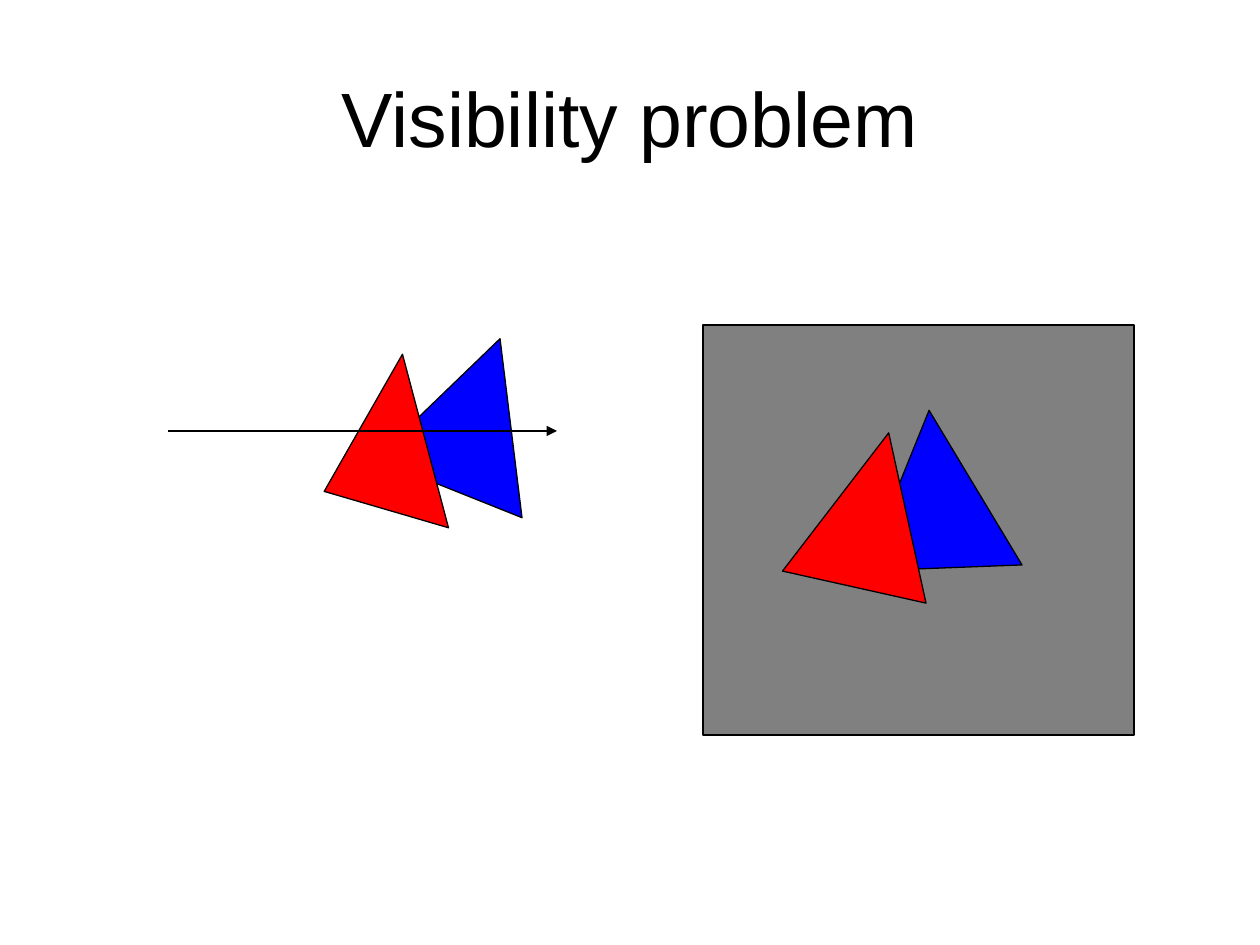
"""Builds a slide showing overlapping triangles along a view ray and in the image plane."""
from dataclasses import dataclass

from lxml import etree
from pptx import Presentation
from pptx.dml.color import RGBColor
from pptx.enum.shapes import MSO_CONNECTOR, MSO_SHAPE
from pptx.enum.text import MSO_ANCHOR, PP_ALIGN
from pptx.oxml.ns import qn
from pptx.util import Emu, Pt

RECT, TRIANGLE = MSO_SHAPE.RECTANGLE, MSO_SHAPE.ISOSCELES_TRIANGLE
STRAIGHT = MSO_CONNECTOR.STRAIGHT
CENTER, MIDDLE = PP_ALIGN.CENTER, MSO_ANCHOR.MIDDLE


@dataclass(frozen=True)
class Theme:
    font: str = "Arial"
    ink: str = "000000"
    near: str = "FF0000"
    far: str = "0000FF"
    plane: str = "808080"
    title_pt: int = 44
    line_pt: float = 0.75


T = Theme()
SLIDE = (1260, 945)
TITLE = ("Visibility problem", (63, 38, 1134, 158))
SCENE = [
    ((399, 336, 158, 158), T.far, 21.8, 0.45),
    ((339, 391, 158, 126), T.near, 119.7, 0.81),
]
VIEW_RAY = (168, 431, 557, 431)
IMAGE_PLANE = (703, 325, 431, 410)
PROJECTION = [
    ((861, 410, 158, 158), T.far, 357.8, 0.45),
    ((798, 431, 147, 158), T.near, 12.6, 0.5),
]


def px(*values):
    return [Emu(round(v * 914400 / 126)) for v in values]


def rgb(color):
    return RGBColor.from_string(color)


def add_text(s, text, box, *, size, color, align, anchor):
    tf = s.shapes.add_textbox(*px(*box)).text_frame
    tf.word_wrap = True
    tf.vertical_anchor = anchor
    p = tf.paragraphs[0]
    p.alignment = align
    r = p.add_run()
    r.text = text
    r.font.name = T.font
    r.font.size = Pt(size)
    r.font.color.rgb = rgb(color)


def style_line(line):
    line.color.rgb = rgb(T.ink)
    line.width = Pt(T.line_pt)


def add_shape(s, kind, box, fill):
    sp = s.shapes.add_shape(kind, *px(*box))
    sp.shadow.inherit = False
    sp.fill.solid()
    sp.fill.fore_color.rgb = rgb(fill)
    style_line(sp.line)
    return sp


def add_triangles(s, triangles):
    for box, fill, rotation, apex in triangles:
        sp = add_shape(s, TRIANGLE, box, fill)
        sp.rotation = rotation
        sp.adjustments[0] = apex


def add_arrow(s, ends):
    arrow = s.shapes.add_connector(STRAIGHT, *px(*ends))
    style_line(arrow.line)
    sp_pr = arrow.line._get_or_add_ln().getparent()
    etree.SubElement(sp_pr.find(qn("a:ln")), qn("a:tailEnd"), type="triangle")
    etree.SubElement(sp_pr, qn("a:effectLst"))


def main():
    prs = Presentation()
    prs.slide_width, prs.slide_height = px(*SLIDE)
    s = prs.slides.add_slide(prs.slide_layouts[6])
    add_text(s, *TITLE, size=T.title_pt, color=T.ink, align=CENTER, anchor=MIDDLE)
    add_triangles(s, SCENE)
    add_arrow(s, VIEW_RAY)
    add_shape(s, RECT, IMAGE_PLANE, T.plane)
    add_triangles(s, PROJECTION)
    prs.save("out.pptx")


if __name__ == "__main__":
    main()
